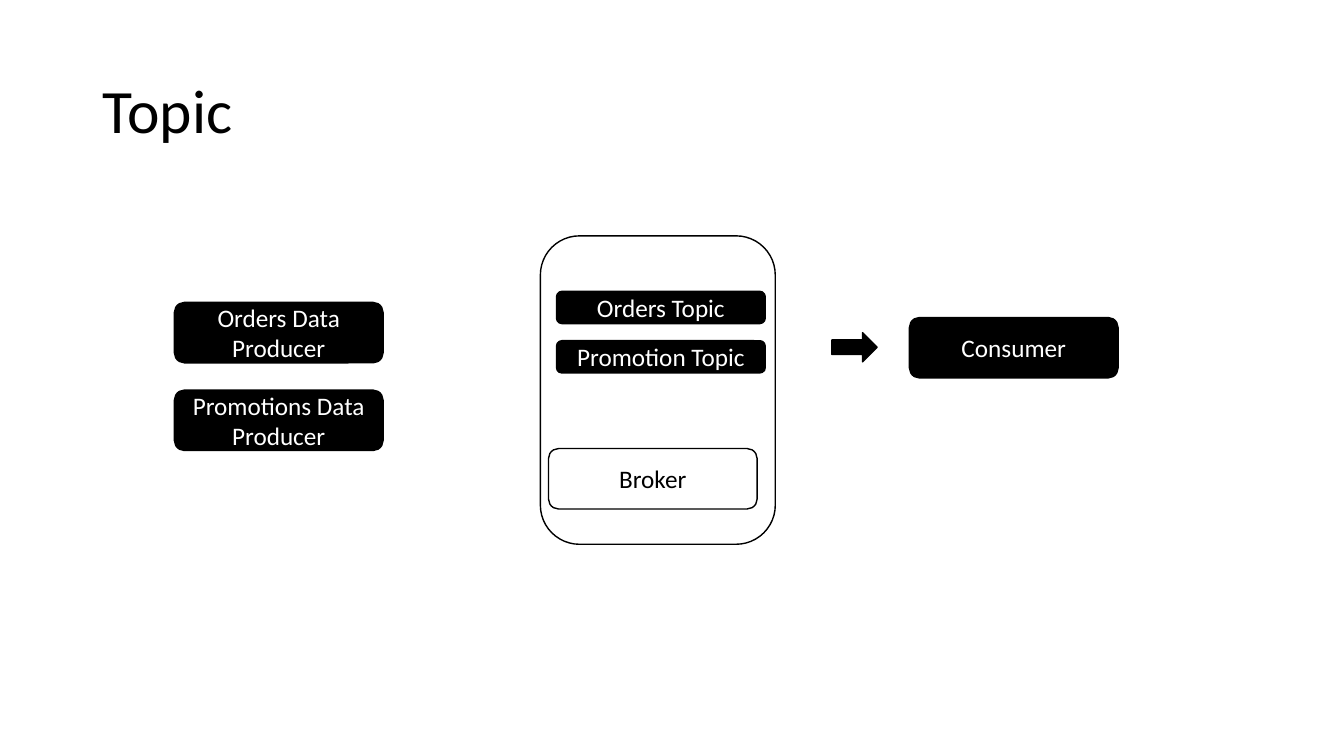
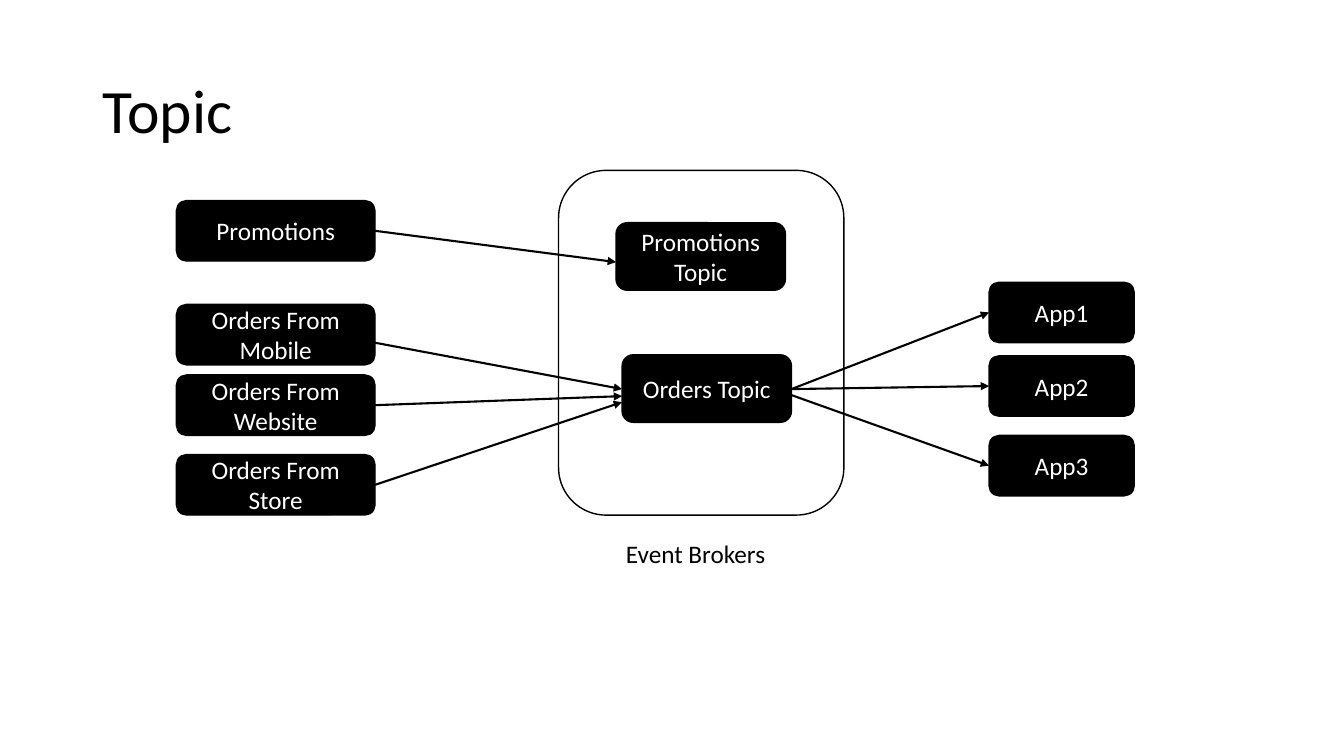
from pptx import Presentation
from pptx.dml.color import RGBColor
from pptx.enum.shapes import MSO_CONNECTOR, MSO_SHAPE
from pptx.enum.text import MSO_ANCHOR, MSO_AUTO_SIZE, PP_ALIGN
from pptx.oxml.ns import qn
from pptx.util import Inches, Pt
from lxml.etree import SubElement

BLACK = RGBColor(0x00, 0x00, 0x00)
WHITE = RGBColor(0xFF, 0xFF, 0xFF)
FONT = "Calibri"
BOX_H = 0.6


class Deck:
    """Holds the shared style and the current slide."""

    def __init__(self):
        """Start a widescreen presentation."""
        self.prs = Presentation()
        self.prs.slide_width = Inches(13.33)
        self.prs.slide_height = Inches(7.5)
        self.slide = None

    def add_text(self, tf, text, color, align, size=18):
        """Fill a text frame, one paragraph per line of text."""
        for i, line in enumerate(text.split("\n")):
            p = tf.add_paragraph() if i else tf.paragraphs[0]
            p.alignment = align
            r = p.add_run()
            r.text = line
            r.font.name = FONT
            r.font.size = Pt(size)
            r.font.color.rgb = color

    def new_slide(self, title):
        """Add a white slide with its title."""
        self.slide = self.prs.slides.add_slide(self.prs.slide_layouts[5])
        fill = self.slide.background.fill
        fill.solid()
        fill.fore_color.rgb = WHITE
        sp = self.slide.shapes.title
        sp.left, sp.top = Inches(0.92), Inches(0.4)
        sp.width, sp.height = Inches(11.5), Inches(1.45)
        tf = sp.text_frame
        tf.auto_size = MSO_AUTO_SIZE.NONE
        tf.vertical_anchor = MSO_ANCHOR.MIDDLE
        self.add_text(tf, title, BLACK, PP_ALIGN.LEFT, 44)
        tf.paragraphs[0].line_spacing = 0.9

    def box(self, x, y, w, h=BOX_H, text="", fill=BLACK,
            kind=MSO_SHAPE.ROUNDED_RECTANGLE):
        """Add a black-edged shape with centred text in the contrasting colour."""
        sp = self.slide.shapes.add_shape(
            kind, Inches(x), Inches(y), Inches(w), Inches(h))
        sp.shadow.inherit = False
        sp.fill.solid()
        sp.fill.fore_color.rgb = fill
        sp.line.color.rgb = BLACK
        sp.line.width = Pt(1)
        if text:
            tf = sp.text_frame
            tf.word_wrap = True
            tf.vertical_anchor = MSO_ANCHOR.MIDDLE
            color = WHITE if fill == BLACK else BLACK
            self.add_text(tf, text, color, PP_ALIGN.CENTER)

    def label(self, x, y, w, h, text):
        """Add a plain one-line caption."""
        sp = self.slide.shapes.add_textbox(
            Inches(x), Inches(y), Inches(w), Inches(h))
        tf = sp.text_frame
        tf.word_wrap = False
        tf.auto_size = MSO_AUTO_SIZE.SHAPE_TO_FIT_TEXT
        self.add_text(tf, text, BLACK, PP_ALIGN.LEFT)

    def arrow(self, x1, y1, x2, y2):
        """Add a straight line with an arrowhead at its end."""
        cxn = self.slide.shapes.add_connector(
            MSO_CONNECTOR.STRAIGHT,
            Inches(x1), Inches(y1), Inches(x2), Inches(y2))
        cxn.line.color.rgb = BLACK
        cxn.line.width = Pt(1.5)
        sp_pr = cxn._element.spPr
        SubElement(sp_pr.find(qn("a:ln")), qn("a:tailEnd"), type="triangle")
        SubElement(sp_pr, qn("a:effectLst"))


def producers_slide(deck):
    """Producers, a broker holding two topics, and a consumer."""
    box_w = 2.07
    deck.new_slide("Topic")
    deck.box(5.36, 2.34, 2.33, 3.06, fill=WHITE)
    deck.box(5.44, 4.45, box_w, text="Broker", fill=WHITE)
    deck.box(9.02, 3.15, box_w, text="Consumer")
    deck.box(8.25, 3.3, 0.45, 0.29, kind=MSO_SHAPE.RIGHT_ARROW)
    for y, text in ((3, "Orders Data Producer"),
                    (3.87, "Promotions Data\nProducer")):
        deck.box(1.73, y, box_w, text=text)
    for y, text in ((2.89, "Orders Topic"), (3.38, "Promotion Topic")):
        deck.box(5.52, y, box_w, 0.32, text)


def routing_slide(deck):
    """Sources feeding topics, and the apps that read the orders topic."""
    source_x, source_w = 1.75, 1.97
    orders_x, promo_x, topic_w, topic_h = 6.17, 6.11, 1.68, 0.67
    app_x, app_w = 9.81, 1.44
    deck.new_slide("Topic")
    deck.box(5.54, 1.69, 2.83, 3.42, fill=WHITE)
    deck.box(promo_x, 2.21, topic_w, topic_h, "Promotions Topic")
    deck.box(orders_x, 3.52, topic_w, topic_h, "Orders Topic")
    deck.label(6.11, 5.29, 1.58, 0.4, "Event Brokers")

    # Box top, text, arrow start height, arrow end
    sources = (
        (1.99, "Promotions", 2.29, promo_x, 2.6),
        (3.02, "Orders From\nMobile", 3.4, orders_x, 3.86),
        (3.72, "Orders From\nWebsite", 4.02, orders_x, 3.93),
        (4.51, "Orders From\nStore", 4.81, orders_x, 3.99),
    )
    for y, text, start_y, end_x, end_y in sources:
        deck.box(source_x, y, source_w, text=text)
        deck.arrow(source_x + source_w, start_y, end_x, end_y)

    for i, (y, start_y) in enumerate(((2.8, 3.86), (3.53, 3.86), (4.32, 3.92)), 1):
        deck.box(app_x, y, app_w, text=f"App{i}")
        deck.arrow(orders_x + topic_w, start_y, app_x, y + BOX_H / 2)


deck = Deck()
producers_slide(deck)
routing_slide(deck)
deck.prs.save("out.pptx")
